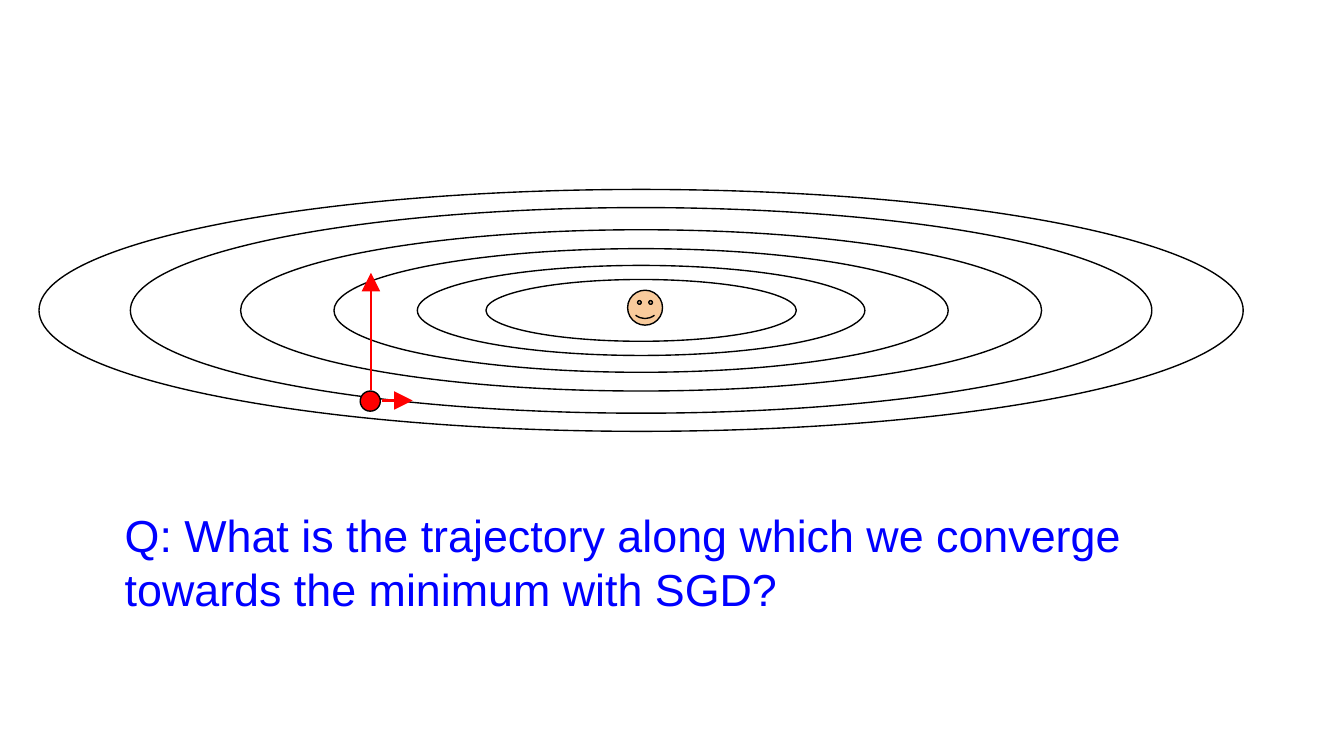
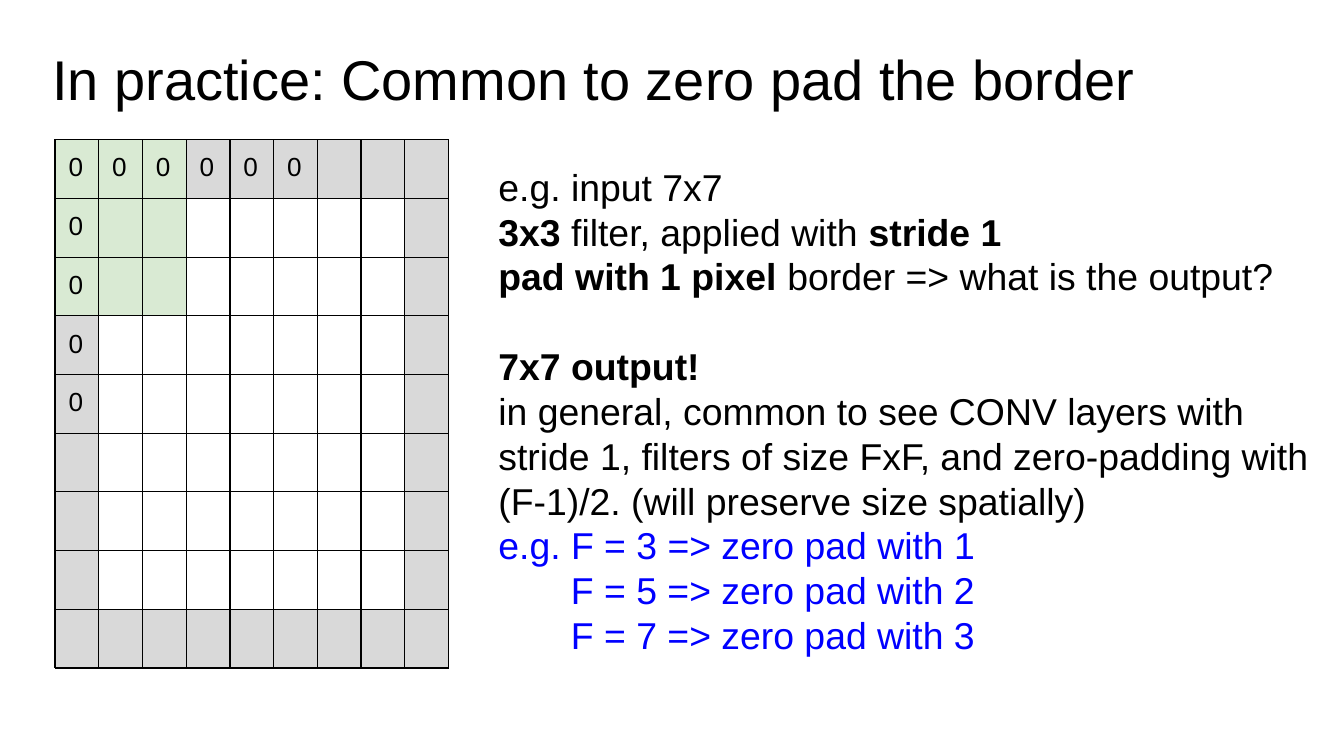
from dataclasses import dataclass
from typing import NamedTuple

from lxml import etree
from pptx import Presentation
from pptx.dml.color import RGBColor
from pptx.enum.shapes import MSO_CONNECTOR, MSO_SHAPE
from pptx.oxml.ns import qn
from pptx.util import Inches, Pt

OVAL = MSO_SHAPE.OVAL
SMILEY = MSO_SHAPE.SMILEY_FACE
STRAIGHT = MSO_CONNECTOR.STRAIGHT


@dataclass(frozen=True)
class Theme:
    font: str = "Arial"
    black: str = "000000"
    white: str = "FFFFFF"
    blue: str = "0000FF"
    red: str = "FF0000"
    skin: str = "F9CB9C"
    green: str = "D9EAD3"
    gray: str = "D9D9D9"
    title: int = 30
    question: int = 24
    body: int = 20
    cell: int = 14
    outline: float = 0.75
    arrow: float = 1.5
    inset: float = 0.1


T = Theme()


class Run(NamedTuple):
    text: str
    bold: bool = False


class Para(NamedTuple):
    runs: list[Run]
    color: str = T.black
    before: float = 0
    indent: float = 0


class Ring(NamedTuple):
    width: float
    height: float


class Arrow(NamedTuple):
    x1: float
    y1: float
    x2: float
    y2: float


CENTER_X, CENTER_Y = 4.77, 2.31
RINGS = [
    Ring(2.31, 0.46),
    Ring(8.96, 1.8),
    Ring(7.6, 1.53),
    Ring(5.96, 1.2),
    Ring(4.57, 0.92),
    Ring(3.33, 0.67),
]
GRADIENTS = [Arrow(2.84, 2.98, 3.07, 2.98), Arrow(2.76, 2.9, 2.76, 2.03)]

GRID = 9
FILTER = 3
ZEROS_ACROSS = 6
ZEROS_DOWN = 5
EXAMPLE_INDENT = 0.54
NOTES = [
    Para([Run("e.g. input 7x7")]),
    Para([Run("3x3", True), Run(" filter, applied with "), Run("stride 1", True)]),
    Para([Run("pad with 1 pixel", True), Run(" border => what is the output?")]),
    Para([Run("7x7 output!", True)], before=24),
    Para([Run("in general, common to see CONV layers with stride 1, filters of size FxF, "
              "and zero-padding with (F-1)/2. (will preserve size spatially)")]),
    Para([Run("e.g. F = 3 => zero pad with 1")], T.blue),
    Para([Run("F = 5 => zero pad with 2")], T.blue, indent=EXAMPLE_INDENT),
    Para([Run("F = 7 => zero pad with 3")], T.blue, indent=EXAMPLE_INDENT),
]


def rgb(color: str) -> RGBColor:
    return RGBColor.from_string(color)


def add_run(p, run: Run, size: int, color: str) -> None:
    r = p.add_run()
    r.text = run.text
    r.font.name = T.font
    r.font.size = Pt(size)
    r.font.bold = run.bold
    r.font.color.rgb = rgb(color)


def set_insets(box) -> None:
    box.margin_left = box.margin_right = Inches(T.inset)
    box.margin_top = box.margin_bottom = Inches(T.inset)


def add_text(s, x: float, y: float, w: float, h: float, paras: list[Para], size: int) -> None:
    tf = s.shapes.add_textbox(Inches(x), Inches(y), Inches(w), Inches(h)).text_frame
    tf.word_wrap = True
    set_insets(tf)
    for i, para in enumerate(paras):
        p = tf.add_paragraph() if i else tf.paragraphs[0]
        if para.before:
            p.space_before = Pt(para.before)
        if para.indent:
            pPr = p._p.get_or_add_pPr()
            pPr.set("marL", str(Inches(para.indent)))
            pPr.set("indent", "0")
        for run in para.runs:
            add_run(p, run, size, para.color)


def add_outlined(s, kind, cx: float, cy: float, w: float, h: float, fill: str | None = None):
    sp = s.shapes.add_shape(kind, Inches(cx - w / 2), Inches(cy - h / 2), Inches(w), Inches(h))
    sp.shadow.inherit = False
    if fill:
        sp.fill.solid()
        sp.fill.fore_color.rgb = rgb(fill)
    else:
        sp.fill.background()
    sp.line.color.rgb = rgb(T.black)
    sp.line.width = Pt(T.outline)
    return sp


def add_arrow(s, arrow: Arrow) -> None:
    line = s.shapes.add_connector(STRAIGHT, *(Inches(v) for v in arrow))
    line.line.color.rgb = rgb(T.red)
    line.line.width = Pt(T.arrow)
    ln = line.line._get_or_add_ln()
    etree.SubElement(ln, qn("a:tailEnd"), type="triangle", w="lg", len="lg")
    etree.SubElement(line._element.spPr, qn("a:effectLst"))


def add_borders(cell) -> None:
    tcPr = cell._tc.get_or_add_tcPr()
    for i, side in enumerate(("lnL", "lnR", "lnT", "lnB")):
        ln = etree.Element(qn(f"a:{side}"), w=str(Pt(T.outline)))
        fill = etree.SubElement(ln, qn("a:solidFill"))
        etree.SubElement(fill, qn("a:srgbClr"), val=T.black)
        tcPr.insert(i, ln)


def cell_color(row: int, col: int) -> str:
    if row < FILTER and col < FILTER:
        return T.green
    if row in (0, GRID - 1) or col in (0, GRID - 1):
        return T.gray
    return T.white


def has_zero(row: int, col: int) -> bool:
    return (row == 0 and col < ZEROS_ACROSS) or (col == 0 and row < ZEROS_DOWN)


def add_padded_grid(s, x: float, y: float, w: float, h: float) -> None:
    table = s.shapes.add_table(GRID, GRID, Inches(x), Inches(y), Inches(w), Inches(h)).table
    table.first_row = table.horz_banding = False
    for row in range(GRID):
        for col in range(GRID):
            cell = table.cell(row, col)
            set_insets(cell)
            cell.fill.solid()
            cell.fill.fore_color.rgb = rgb(cell_color(row, col))
            add_borders(cell)
            p = cell.text_frame.paragraphs[0]
            if has_zero(row, col):
                add_run(p, Run("0"), T.cell, T.black)
            else:
                etree.SubElement(p._p, qn("a:endParaRPr"), sz=str(T.cell * 100))


def build_trajectory(s) -> None:
    for ring in RINGS:
        sp = add_outlined(s, OVAL, CENTER_X, CENTER_Y, ring.height, ring.width)
        sp.rotation = 90
    add_outlined(s, OVAL, 2.755, 2.985, 0.15, 0.15, T.red)
    face = add_outlined(s, SMILEY, 4.8, 2.29, 0.26, 0.26, T.skin)
    face.adjustments[0] = 0.05
    question = Run("Q: What is the trajectory along which we converge towards the minimum with SGD?")
    add_text(s, 0.83, 3.68, 8.23, 0.6, [Para([question], T.blue)], T.question)
    for arrow in GRADIENTS:
        add_arrow(s, arrow)


def build_padding(s) -> None:
    title = Run("In practice: Common to zero pad the border")
    add_text(s, 0.29, 0.23, 9.06, 0.81, [Para([title])], T.title)
    add_text(s, 3.61, 1.12, 6.39, 1.62, NOTES, T.body)
    add_padded_grid(s, 0.41, 1.04, 2.93, 3.93)


def main() -> None:
    prs = Presentation()
    prs.slide_width = Inches(10)
    prs.slide_height = prs.slide_width * 9 // 16
    for build in (build_trajectory, build_padding):
        build(prs.slides.add_slide(prs.slide_layouts[6]))
    prs.save("out.pptx")


if __name__ == "__main__":
    main()
